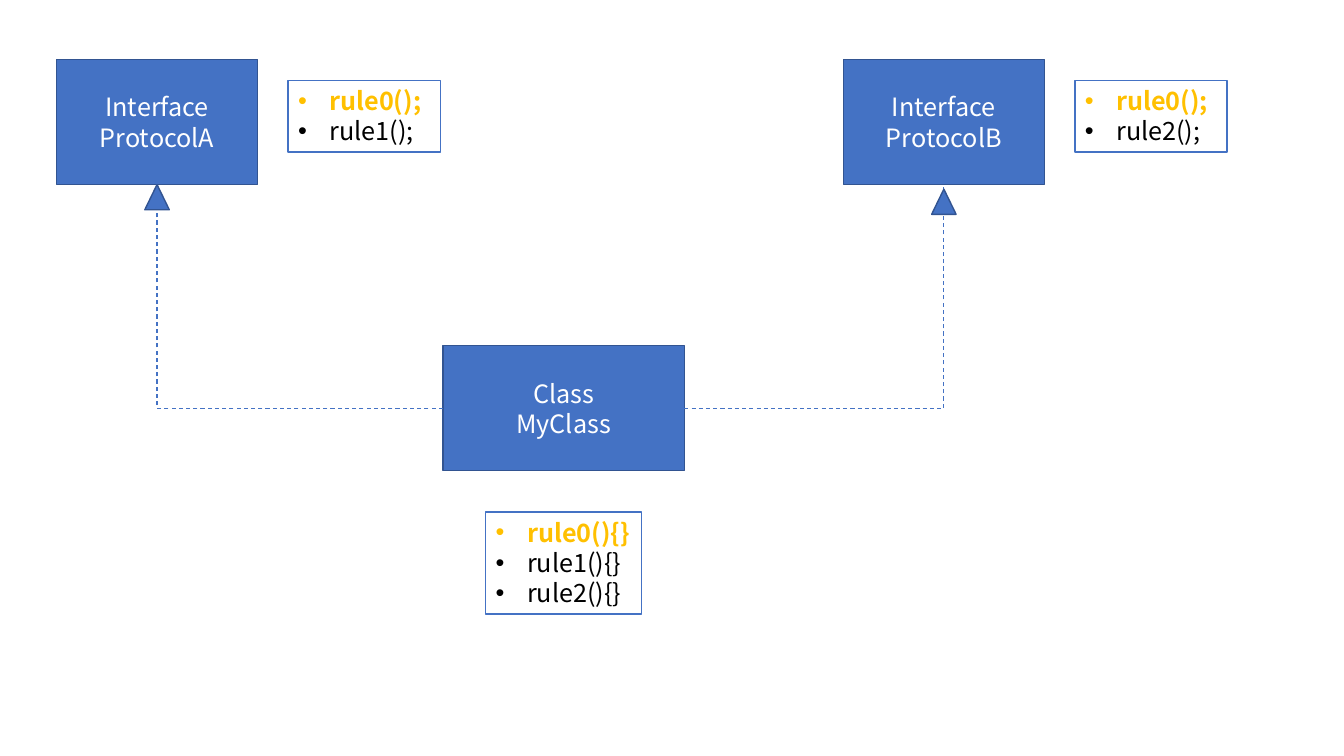
import pptx
import pptx.util
import pptx.dml.color
import pptx.enum.dml
import pptx.enum.shapes
import pptx.enum.text
import lxml.etree

Pt = pptx.util.Pt
SHAPE = pptx.enum.shapes.MSO_SHAPE
ALIGN = pptx.enum.text.PP_ALIGN
ANCHOR = pptx.enum.text.MSO_ANCHOR

# Content: type boxes with the rules listed beside them
INTERFACES = [
    {"name": "ProtocolA", "left": 40.4, "arrow_gap": 0, "rules": ["rule0();", "rule1();"]},
    {"name": "ProtocolB", "left": 602.4, "arrow_gap": 3.3, "rules": ["rule0();", "rule2();"]},
]
CLASS = {"name": "MyClass", "rules": ["rule0(){}", "rule1(){}", "rule2(){}"]}

COLORS = {"blue": "4472C4", "edge": "325491", "white": "FFFFFF",
          "shared": "FFC000", "black": "000000"}
FONT = {"name": "Noto Sans CJK KR", "size": Pt(18)}

# Layout in points
BOX_TOP, BOX_W, BOX_H = 42.4, 143.6, 89.4
CLASS_LEFT, CLASS_TOP, CLASS_W = 316.4, 246.9, 172.4
RULES_DX, RULES_TOP, RULES_W, RULES_H = 165.4, 57.4, 108.7, 51.1
CLASS_RULES = (347, 365.8, 111.3, 72.7)
ARROW_W, ARROW_H = 17.5, 18
INDENT = 22.5


def rgb(name):
    return pptx.dml.color.RGBColor.from_string(COLORS[name])


def add_shape(kind, box, fill, line):
    s = slide.shapes.add_shape(kind, *map(Pt, box))
    s.shadow.inherit = False
    s.fill.solid()
    s.fill.fore_color.rgb = rgb(fill)
    s.line.color.rgb = rgb(line)
    s.line.width = Pt(1)
    return s


def write_line(p, text, color, bold=False):
    r = p.add_run()
    r.text = text
    for key, value in {**FONT, "bold": bold}.items():
        setattr(r.font, key, value)
    r.font.color.rgb = rgb(color)


def paragraphs(tf, lines):
    for i, text in enumerate(lines):
        yield (tf.add_paragraph() if i else tf.paragraphs[0]), text


def add_type_box(box, lines):
    tf = add_shape(SHAPE.RECTANGLE, box, "blue", "edge").text_frame
    tf.vertical_anchor = ANCHOR.MIDDLE
    for p, text in paragraphs(tf, lines):
        p.alignment = ALIGN.CENTER
        write_line(p, text, "white")


def add_rules(box, rules):
    tf = add_shape(SHAPE.RECTANGLE, box, "white", "blue").text_frame
    tf.vertical_anchor = ANCHOR.TOP
    tf.auto_size = pptx.enum.text.MSO_AUTO_SIZE.SHAPE_TO_FIT_TEXT
    for p, text in paragraphs(tf, rules):
        p.alignment = ALIGN.LEFT
        ppr = p._p.get_or_add_pPr()
        ppr.set("marL", str(Pt(INDENT)))
        ppr.set("indent", str(-Pt(INDENT)))
        for tag, key, value in [("buFont", "typeface", "Arial"), ("buChar", "char", "•")]:
            lxml.etree.SubElement(ppr, pptx.oxml.ns.qn("a:" + tag)).set(key, value)
        shared = text.startswith("rule0")
        write_line(p, text, "shared" if shared else "black", shared)


def add_dashed_elbow(*ends):
    c = slide.shapes.add_connector(pptx.enum.shapes.MSO_CONNECTOR.ELBOW, *map(Pt, ends))
    c.line.color.rgb = rgb("blue")
    c.line.width = Pt(0.75)
    c.line.dash_style = pptx.enum.dml.MSO_LINE.DASH
    sppr = c._element.spPr
    sppr.find(pptx.oxml.ns.qn("a:prstGeom")).set("prst", "bentConnector2")
    lxml.etree.SubElement(sppr, pptx.oxml.ns.qn("a:effectLst"))


prs = pptx.Presentation()
prs.slide_width, prs.slide_height = Pt(960), Pt(540)
slide = prs.slides.add_slide(prs.slide_layouts[6])

# Class and its rules
add_type_box((CLASS_LEFT, CLASS_TOP, CLASS_W, BOX_H), ["Class", CLASS["name"]])
add_rules(CLASS_RULES, CLASS["rules"])

# Interfaces, each with its rules and an arrow up from the class
for item in INTERFACES:
    left, bottom = item["left"], BOX_TOP + BOX_H
    center = left + BOX_W / 2
    class_side = CLASS_LEFT if center < CLASS_LEFT else CLASS_LEFT + CLASS_W
    add_type_box((left, BOX_TOP, BOX_W, BOX_H), ["Interface", item["name"]])
    add_rules((left + RULES_DX, RULES_TOP, RULES_W, RULES_H), item["rules"])
    add_dashed_elbow(class_side, CLASS_TOP + BOX_H / 2, center, bottom)
    add_shape(SHAPE.ISOSCELES_TRIANGLE,
              (center - ARROW_W / 2, bottom + item["arrow_gap"], ARROW_W, ARROW_H), "blue", "edge")

prs.save("out.pptx")
